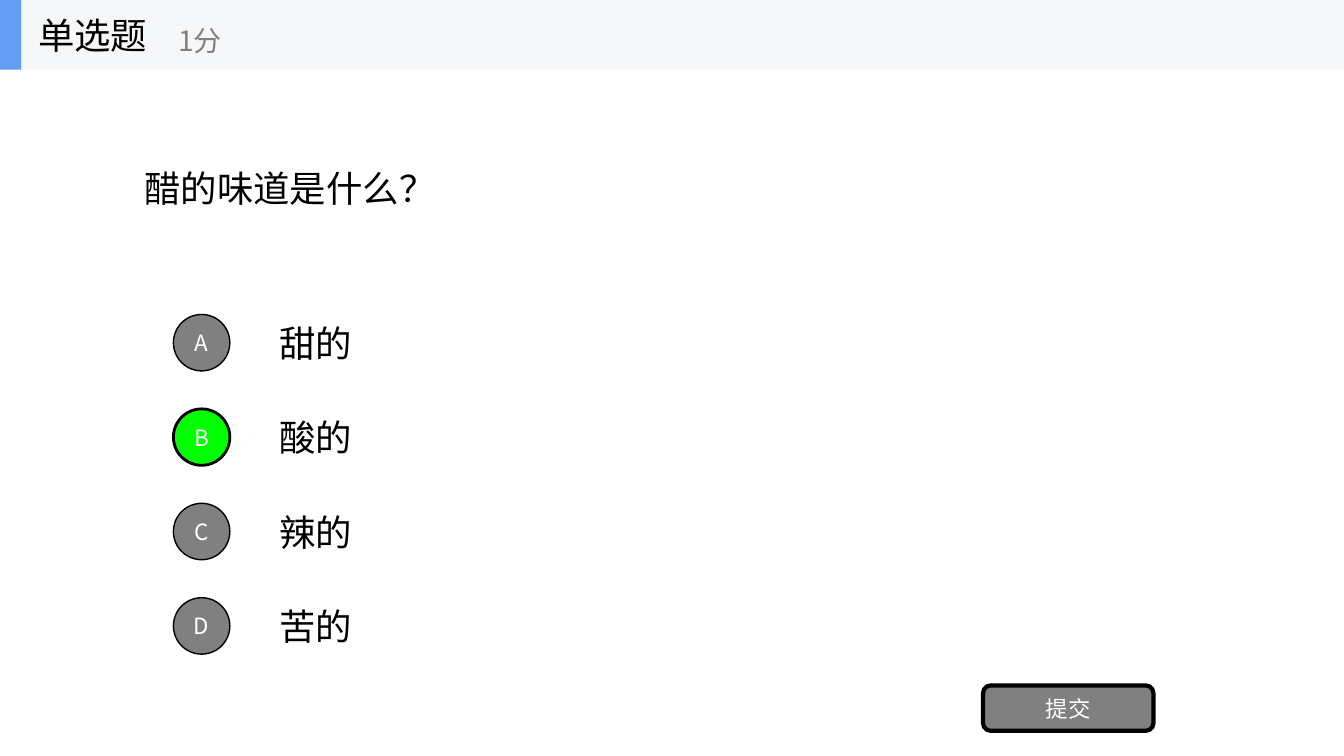
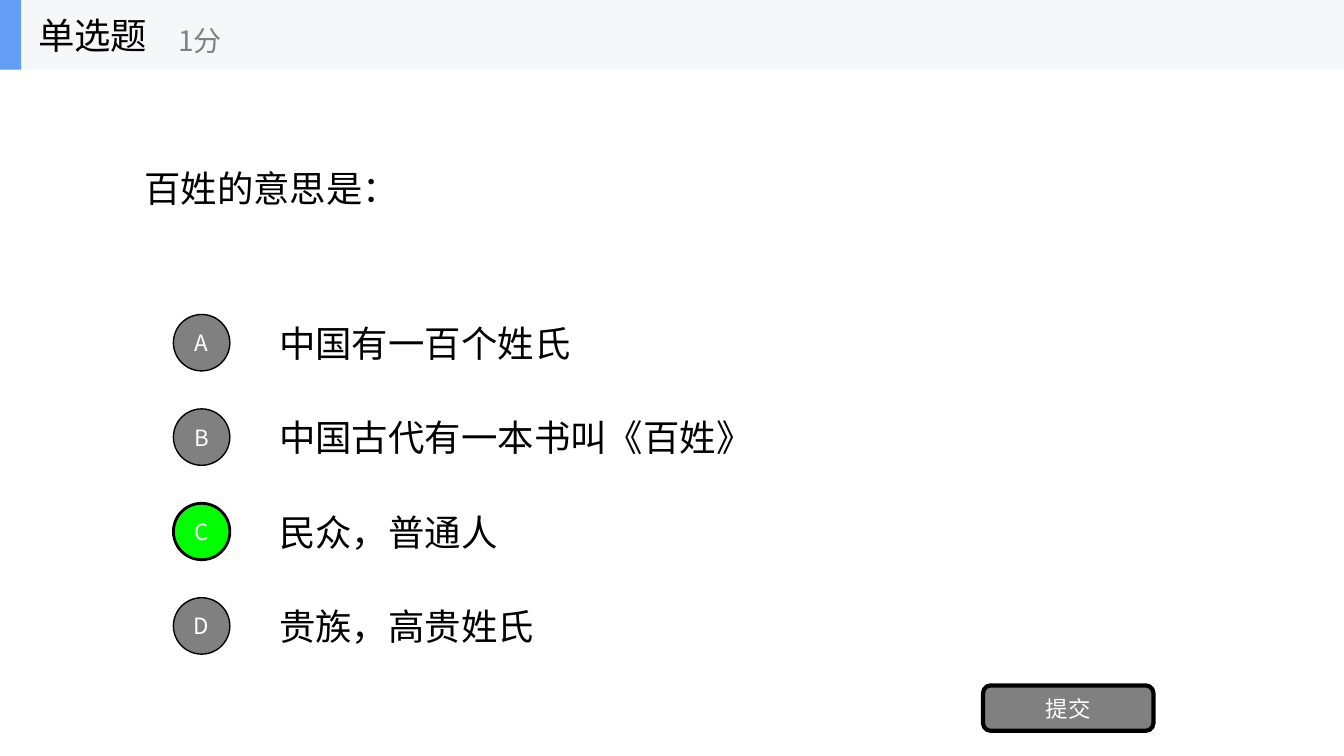
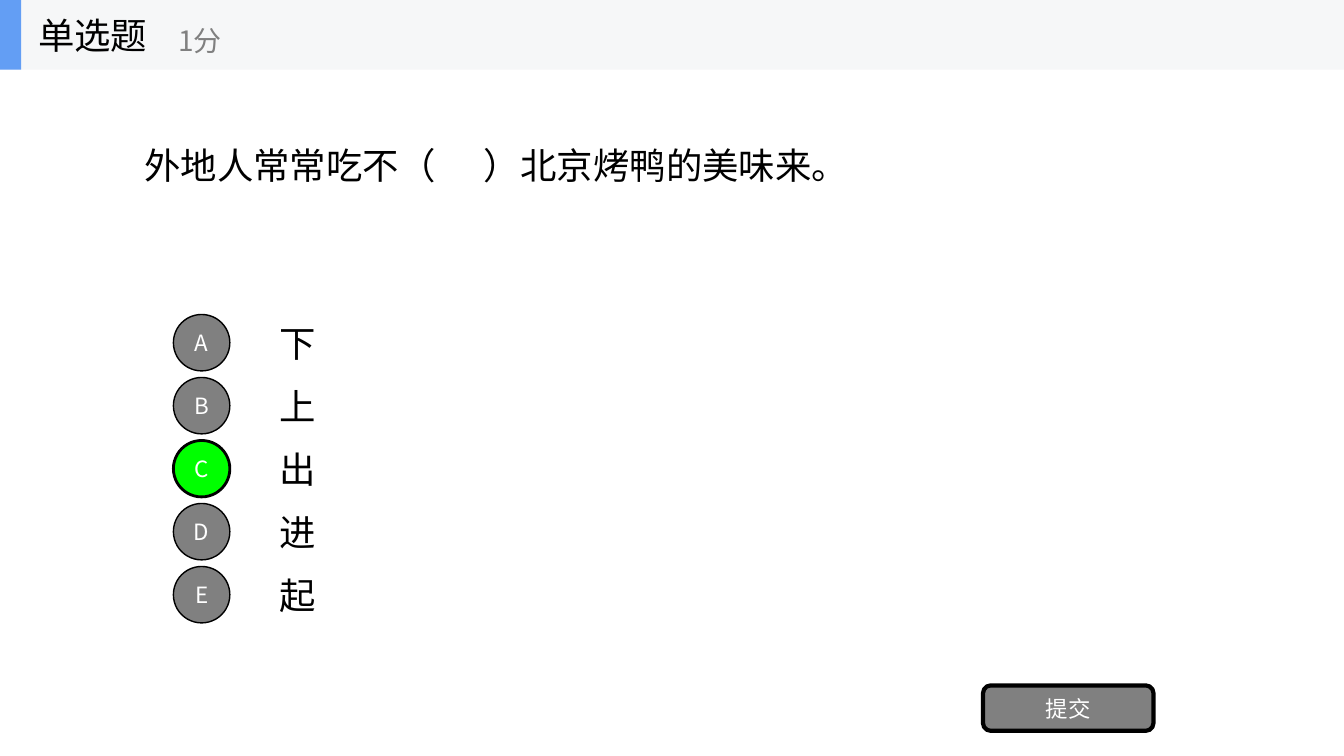
from dataclasses import dataclass

from lxml import etree
from pptx import Presentation
from pptx.dml.color import RGBColor
from pptx.enum.lang import MSO_LANGUAGE_ID
from pptx.enum.shapes import MSO_SHAPE
from pptx.enum.text import MSO_ANCHOR, MSO_AUTO_SIZE, PP_ALIGN
from pptx.oxml.ns import qn
from pptx.util import Inches, Pt


@dataclass(frozen=True)
class Theme:
    font: str = "Noto Sans CJK SC"
    ink: str = "000000"
    paper: str = "FFFFFF"
    muted: str = "808080"
    correct: str = "00FF00"
    band: str = "F6F7F8"
    accent: str = "639EF4"
    body_size: int = 26
    score_size: int = 20
    button_size: int = 16


THEME = Theme()
SLIDE_WIDTH, SLIDE_HEIGHT = 13.33, 7.5
BAND_HEIGHT = 0.69
FIRST_ANSWER_TOP = 3.05
ANSWER_HEIGHT = 0.7
BADGE_SIZE = 0.56


def write_text(shape, text, *, size=THEME.body_size, color=THEME.ink,
               align=PP_ALIGN.LEFT, margin=0.1, tab_stop=None):
    """Fill a shape with one formatted, vertically centred paragraph."""
    frame = shape.text_frame
    frame.word_wrap = True
    frame.auto_size = MSO_AUTO_SIZE.NONE
    frame.vertical_anchor = MSO_ANCHOR.MIDDLE
    frame.margin_left = frame.margin_right = Inches(margin)
    paragraph = frame.paragraphs[0]
    paragraph.alignment = align
    if tab_stop is not None:
        tabs = etree.SubElement(paragraph._p.get_or_add_pPr(), qn("a:tabLst"))
        etree.SubElement(tabs, qn("a:tab"), pos=str(Inches(tab_stop)), algn="l")
    run = paragraph.add_run()
    run.text = text
    run.font.size = Pt(size)
    run.font.bold = False
    run.font.color.rgb = RGBColor.from_string(color)
    run.font.name = THEME.font
    run.font.language_id = MSO_LANGUAGE_ID.SIMPLIFIED_CHINESE
    # Chinese glyphs take their font from the East Asian slot
    etree.SubElement(run._r.get_or_add_rPr(), qn("a:ea"), typeface=THEME.font)


class QuizDeck:
    def __init__(self, theme):
        self.theme = theme
        self.presentation = Presentation()
        self.presentation.slide_width = Inches(SLIDE_WIDTH)
        self.presentation.slide_height = Inches(SLIDE_HEIGHT)
        self.slide = None

    def label(self, text, box, **text_format):
        caption = self.slide.shapes.add_textbox(*map(Inches, box))
        write_text(caption, text, **text_format)

    def panel(self, kind, box, fill, line_width=0):
        panel = self.slide.shapes.add_shape(kind, *map(Inches, box))
        panel.shadow.inherit = False
        panel.fill.solid()
        panel.fill.fore_color.rgb = RGBColor.from_string(fill)
        if line_width:
            panel.line.color.rgb = RGBColor.from_string(self.theme.ink)
            panel.line.width = Pt(line_width)
        else:
            panel.line.fill.background()
        return panel

    def button(self, text, kind, box, fill, line_width):
        write_text(self.panel(kind, box, fill, line_width), text,
                   size=self.theme.button_size, color=self.theme.paper,
                   align=PP_ALIGN.CENTER, margin=0)

    def question(self, text, height, tab_stop):
        title = self.slide.shapes.title
        title.left, title.top = Inches(1.33), Inches(BAND_HEIGHT)
        title.width, title.height = Inches(10.67), Inches(height)
        write_text(title, text, tab_stop=tab_stop)

    def answers(self, options, correct, span):
        pitch = span / (len(options) - 1)
        inset = (ANSWER_HEIGHT - BADGE_SIZE) / 2
        for index, (letter, option) in enumerate(zip("ABCDE", options)):
            top = FIRST_ANSWER_TOP + index * pitch
            is_correct = letter == correct
            self.label(option, (2.67, top, 9.33, ANSWER_HEIGHT))
            self.button(letter, MSO_SHAPE.OVAL,
                        (1.72, top + inset, BADGE_SIZE, BADGE_SIZE),
                        self.theme.correct if is_correct else self.theme.muted,
                        2 if is_correct else 1)

    def header(self):
        self.panel(MSO_SHAPE.RECTANGLE, (0, 0, SLIDE_WIDTH, BAND_HEIGHT), self.theme.band)
        self.panel(MSO_SHAPE.RECTANGLE, (0, 0, 0.21, BAND_HEIGHT), self.theme.accent)
        self.label("单选题", (0.28, 0, 2.08, BAND_HEIGHT))
        self.label("1分", (1.67, 0.12, 2.5, 0.56),
                   size=self.theme.score_size, color=self.theme.muted)

    def quiz_slide(self, question, options, correct, *, answer_span=2.81,
                   question_height=2.34, tab_stop=None):
        title_only = self.presentation.slide_layouts[5]
        self.slide = self.presentation.slides.add_slide(title_only)
        self.question(question, question_height, tab_stop)
        self.answers(options, correct, answer_span)
        self.button("提交", MSO_SHAPE.ROUNDED_RECTANGLE, (9.75, 6.8, 1.69, 0.45),
                    self.theme.muted, 3)
        self.header()


def main():
    deck = QuizDeck(THEME)

    # Taste of vinegar
    deck.quiz_slide("醋的味道是什么？", ["甜的", "酸的", "辣的", "苦的"], "B")

    # Meaning of a word
    deck.quiz_slide(
        "百姓的意思是：",
        ["中国有一百个姓氏", "中国古代有一本书叫《百姓》", "民众，普通人", "贵族，高贵姓氏"],
        "C")

    # Fill in the blank: the tab stop sets the width of the gap
    deck.quiz_slide(
        "外地人常常吃不（\t）北京烤鸭的美味来。",
        ["下", "上", "出", "进", "起"], "C",
        answer_span=2.5, question_height=1.9, tab_stop=3.37)

    deck.presentation.save("out.pptx")


if __name__ == "__main__":
    main()
